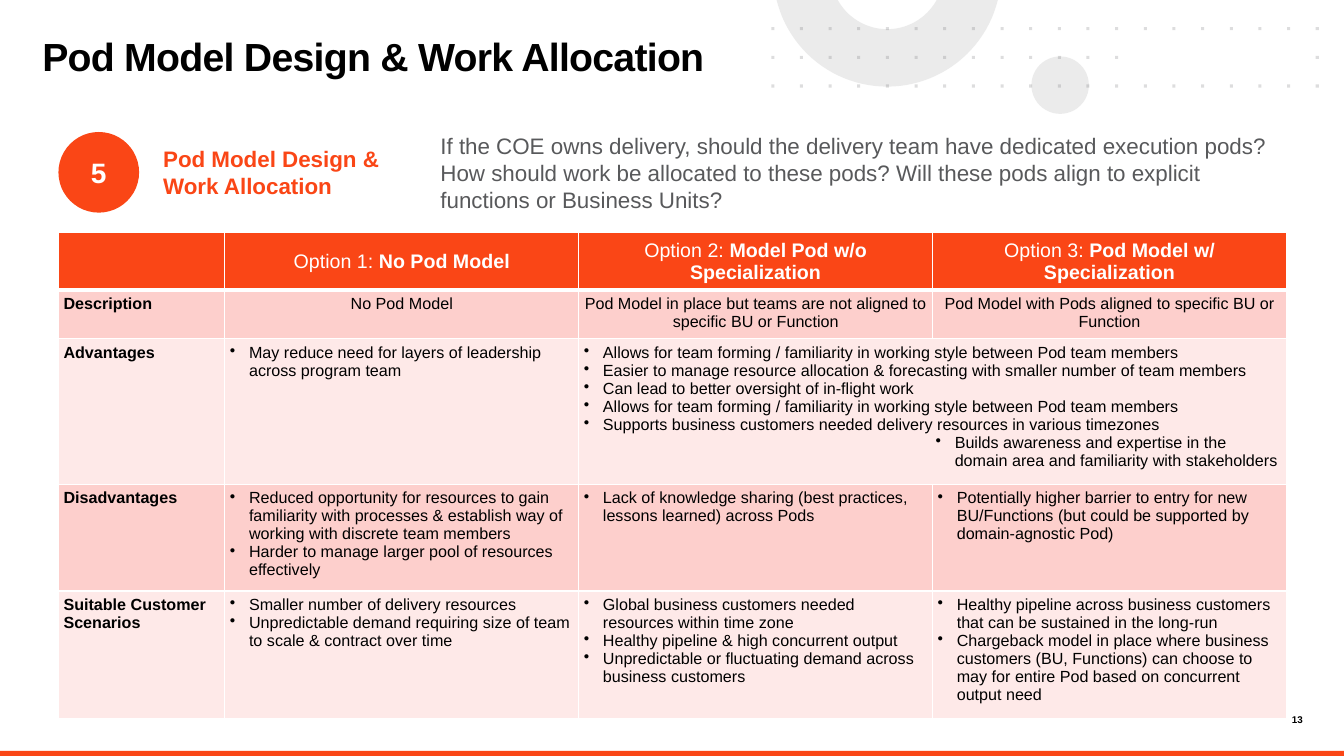
"""Build the slide on pod model options and work allocation."""
from math import asin, cos, pi, sin

from lxml.etree import SubElement
from pptx import Presentation
from pptx.dml.color import RGBColor
from pptx.enum.shapes import MSO_SHAPE as Shape
from pptx.enum.text import MSO_ANCHOR as Anchor, PP_ALIGN as Align
from pptx.oxml.ns import qn
from pptx.util import Inches, Pt

ORANGE = RGBColor(0xFA, 0x46, 0x16)
WHITE = RGBColor(0xFF, 0xFF, 0xFF)
BLACK = RGBColor(0x00, 0x00, 0x00)
GREY = RGBColor(0x58, 0x59, 0x5B)
SILVER = RGBColor(0xD9, 0xD9, 0xD9)
ROSE = RGBColor(0xFD, 0xCF, 0xCC)
BLUSH = RGBColor(0xFE, 0xE9, 0xE8)

TOPIC = "Pod Model Design & Work Allocation"
QUESTION = (
    "If the COE owns delivery, should the delivery team have dedicated execution pods? "
    "How should work be allocated to these pods? Will these pods align to explicit "
    "functions or Business Units?"
)
COLUMN_WIDTHS = [1.65, 3.51, 3.51, 3.51]
ROW_HEIGHTS = [0.53, 0.46, 1.35, 0.99, 1.27]
HANGING = 0.19
OPTIONS = ["No Pod Model", "Model Pod w/o Specialization", "Pod Model w/ Specialization"]
DESCRIPTIONS = [
    "No Pod Model",
    "Pod Model in place but teams are not aligned to specific BU or Function",
    "Pod Model with Pods aligned to specific BU or Function",
]
SPECIALIST_ADVANTAGE = (
    "Builds awareness and expertise in the domain area and familiarity with stakeholders"
)
BULLET_ROWS = {
    "Advantages": [
        ["May reduce need for layers of leadership across program team"],
        [
            "Allows for team forming / familiarity in working style between Pod team members",
            "Easier to manage resource allocation & forecasting with smaller number of team members",
            "Can lead to better oversight of in-flight work",
            "Allows for team forming / familiarity in working style between Pod team members",
            "Supports business customers needed delivery resources in various timezones",
            SPECIALIST_ADVANTAGE,
        ],
        [],
    ],
    "Disadvantages": [
        [
            "Reduced opportunity for resources to gain familiarity with processes & establish "
            "way of working with discrete team members",
            "Harder to manage larger pool of resources effectively",
        ],
        ["Lack of knowledge sharing (best practices, lessons learned) across Pods"],
        [
            "Potentially higher barrier to entry for new BU/Functions (but could be supported "
            "by domain-agnostic Pod)"
        ],
    ],
    "Suitable Customer Scenarios": [
        [
            "Smaller number of delivery resources",
            "Unpredictable demand requiring size of team to scale & contract over time",
        ],
        [
            "Global business customers needed resources within time zone",
            "Healthy pipeline & high concurrent output",
            "Unpredictable or fluctuating demand across business customers",
        ],
        [
            "Healthy pipeline across business customers that can be sustained in the long-run",
            "Chargeback model in place where business customers (BU, Functions) can choose to "
            "may for entire Pod based on concurrent output need",
        ],
    ],
}


def add_span(para, text, size, color=BLACK, bold=False):
    """Add one formatted run to a paragraph."""
    span = para.add_run()
    span.text = text
    span.font.name = "Arial"
    span.font.size = Pt(size)
    span.font.bold = bold
    span.font.color.rgb = color
    return span


def set_margins(target, inset):
    """Give a text frame or a cell the same margin on all sides."""
    target.margin_left = target.margin_right = Inches(inset)
    target.margin_top = target.margin_bottom = Inches(inset)


def paint(shape, color, opacity=100):
    """Fill a shape without outline or shadow."""
    shape.shadow.inherit = False
    shape.line.fill.background()
    shape.fill.solid()
    shape.fill.fore_color.rgb = color
    if opacity < 100:
        fill_color = shape._element.spPr.find(qn("a:solidFill"))[0]
        SubElement(fill_color, qn("a:alpha"), val=str(opacity * 1000))


def add_block(page, kind, place, color, opacity=100):
    """Add a plain preset shape."""
    block = page.shapes.add_shape(kind, *map(Inches, place))
    paint(block, color, opacity)
    return block


def write(box, text, size, color, bold=False, align=Align.LEFT, anchor=Anchor.MIDDLE, inset=0):
    """Write one paragraph into a shape or text box."""
    frame = box.text_frame
    frame.word_wrap = True
    frame.vertical_anchor = anchor
    set_margins(frame, inset)
    para = frame.paragraphs[0]
    para.alignment = align
    return para, add_span(para, text, size, color, bold)


def add_outlines(page, outlines, color, opacity):
    """Draw closed outlines, given in inches, as one freeform."""
    pen = None
    for outline in outlines:
        points = [(Inches(x), Inches(y)) for x, y in outline]
        if pen is None:
            pen = page.shapes.build_freeform(*points[0], scale=1.0)
        else:
            pen.move_to(*points[0])
        pen.add_line_segments(points[1:], close=True)
    paint(pen.convert_to_shape(), color, opacity)


def arc(center_x, center_y, radius, steps=48):
    """List the points of the part of a circle below the top edge of the page."""
    start = asin(-center_y / radius)
    angles = [start + (pi - 2 * start) * step / steps for step in range(steps + 1)]
    return [(center_x + radius * cos(a), center_y + radius * sin(a)) for a in angles]


def add_decoration(page):
    """Draw the bottom bar, the circles and the dot grid."""
    add_block(page, Shape.RECTANGLE, (0, 7.45, 13.33, 0.05), ORANGE)
    add_block(page, Shape.OVAL, (10.23, 0.56, 0.57, 0.57), SILVER, 50)
    ring = arc(8.8, -0.27, 1.13) + arc(8.8, -0.27, 0.56)[::-1]
    add_outlines(page, [ring], SILVER, 50)
    side, pitch, columns = 0.03, 5.4 / 19, range(20)
    dots = []
    for row, shown in enumerate([columns, [*range(13), 19], columns]):
        for column in shown:
            x, y = 7.65 + column * pitch, 0.27 + row * pitch
            dots.append([(x, y), (x + side, y), (x + side, y + side), (x, y + side)])
    add_outlines(page, dots, GREY, 20)


def style_cell(cell, color, bottom_width=1):
    """Set the margins, white borders and fill of a cell."""
    set_margins(cell, 0.05)
    properties = cell._tc.get_or_add_tcPr()
    for side, width in zip("LRTB", (1, 1, 1, bottom_width)):
        line = SubElement(properties, qn(f"a:ln{side}"), w=str(Pt(width)))
        SubElement(SubElement(line, qn("a:solidFill")), qn("a:srgbClr"), val=str(WHITE))
    cell.fill.solid()
    cell.fill.fore_color.rgb = color


def write_bullets(cell, items):
    """Write one bulleted paragraph for each item."""
    for index, item in enumerate(items):
        para = cell.text_frame.add_paragraph() if index else cell.text_frame.paragraphs[0]
        indent = 3.68 if item == SPECIALIST_ADVANTAGE else HANGING
        properties = para._p.get_or_add_pPr()
        properties.set("marL", str(Inches(indent)))
        properties.set("indent", str(Inches(-HANGING)))
        SubElement(properties, qn("a:buChar"), char="•")
        add_span(para, item, 11.5)


def add_options_table(page):
    """Add the table that compares the three options."""
    place = map(Inches, (0.58, 2.31, sum(COLUMN_WIDTHS), sum(ROW_HEIGHTS)))
    table = page.shapes.add_table(len(ROW_HEIGHTS), len(COLUMN_WIDTHS), *place).table
    for column, width in zip(table.columns, COLUMN_WIDTHS):
        column.width = Inches(width)
    for index, (row, height) in enumerate(zip(table.rows, ROW_HEIGHTS)):
        row.height = Inches(height)
        color = ORANGE if index == 0 else (BLUSH, ROSE)[index % 2]
        for cell in row.cells:
            style_cell(cell, color, bottom_width=1 if index else 3)
    table.cell(2, 2).merge(table.cell(2, 3))
    for column, (option, description) in enumerate(zip(OPTIONS, DESCRIPTIONS), 1):
        header = table.cell(0, column)
        header.vertical_anchor = Anchor.MIDDLE
        para = header.text_frame.paragraphs[0]
        para.alignment = Align.CENTER
        add_span(para, f"Option {column}: ", 14, WHITE)
        add_span(para, option, 14, WHITE, True)
        para = table.cell(1, column).text_frame.paragraphs[0]
        para.alignment = Align.CENTER
        add_span(para, description, 11.5)
    for row, label in enumerate(["Description", *BULLET_ROWS], 1):
        add_span(table.cell(row, 0).text_frame.paragraphs[0], label, 11.5, bold=True)
        for column, items in enumerate(BULLET_ROWS.get(label, []), 1):
            write_bullets(table.cell(row, column), items)


def main():
    """Build and save the slide."""
    deck = Presentation()
    deck.slide_width, deck.slide_height = Inches(13.33), Inches(7.5)
    page = deck.slides.add_slide(deck.slide_layouts[6])
    add_decoration(page)
    number = page.shapes.add_textbox(*map(Inches, (12.53, 7.08, 0.39, 0.13)))
    write(number, "13", 7, BLACK, True, Align.RIGHT, Anchor.TOP)
    title = page.shapes.add_textbox(*map(Inches, (0.42, 0.39, 7.23, 0.75)))
    para, span = write(title, TOPIC, 28, BLACK, True, anchor=Anchor.TOP)
    para.line_spacing = 0.85
    span.font._element.set("spc", "-50")
    topic = add_block(page, Shape.RECTANGLE, (1.52, 1.31, 2.61, 0.8), WHITE)
    write(topic, TOPIC, 16, ORANGE, True, inset=0.1)
    badge = add_block(page, Shape.OVAL, (0.58, 1.31, 0.8, 0.8), ORANGE)
    write(badge, "5", 20, WHITE, True, Align.CENTER)
    question = add_block(page, Shape.RECTANGLE, (4.27, 1.31, 8.48, 0.8), WHITE)
    write(question, QUESTION, 16, GREY, inset=0.1)
    add_options_table(page)
    deck.save("out.pptx")


if __name__ == "__main__":
    main()
